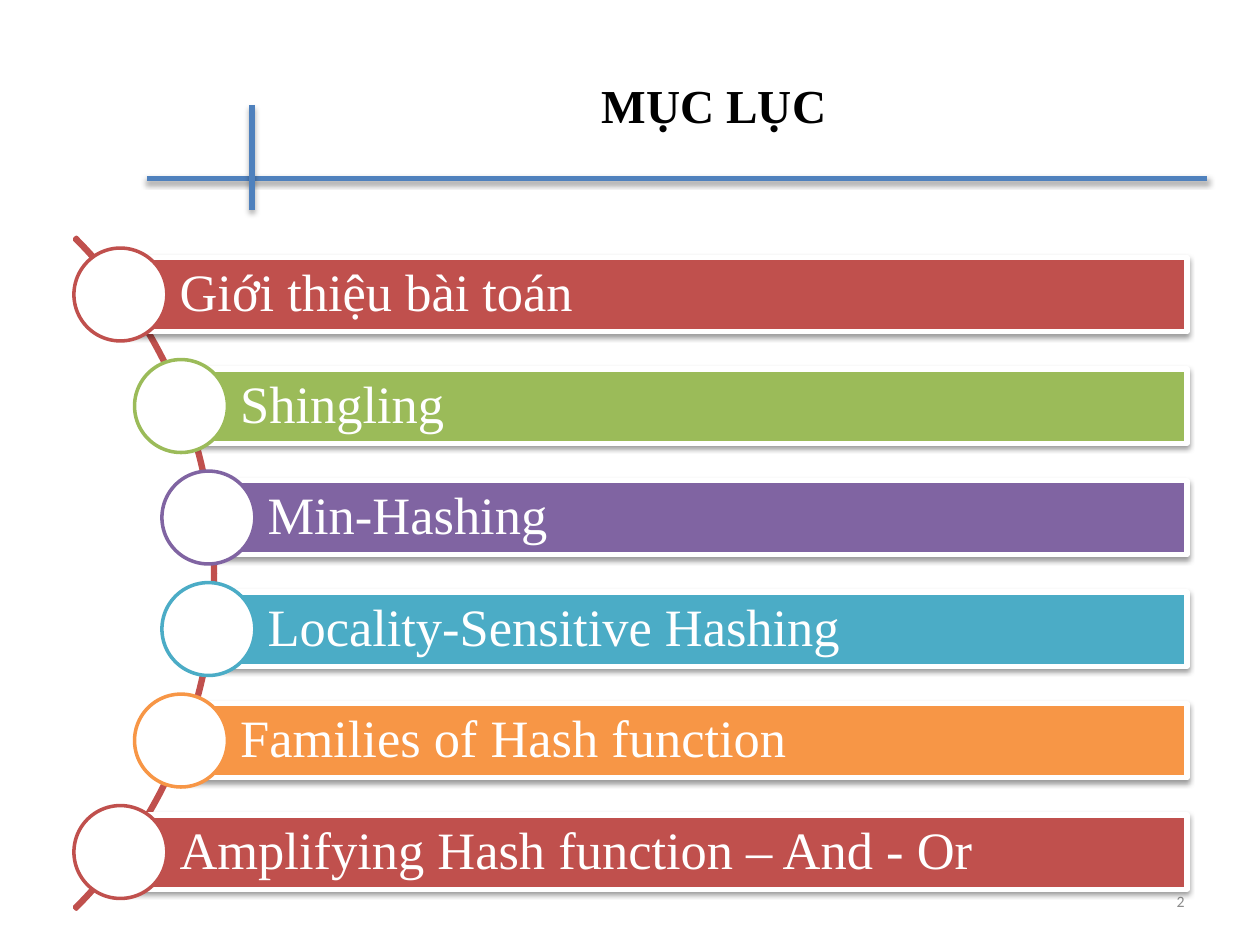
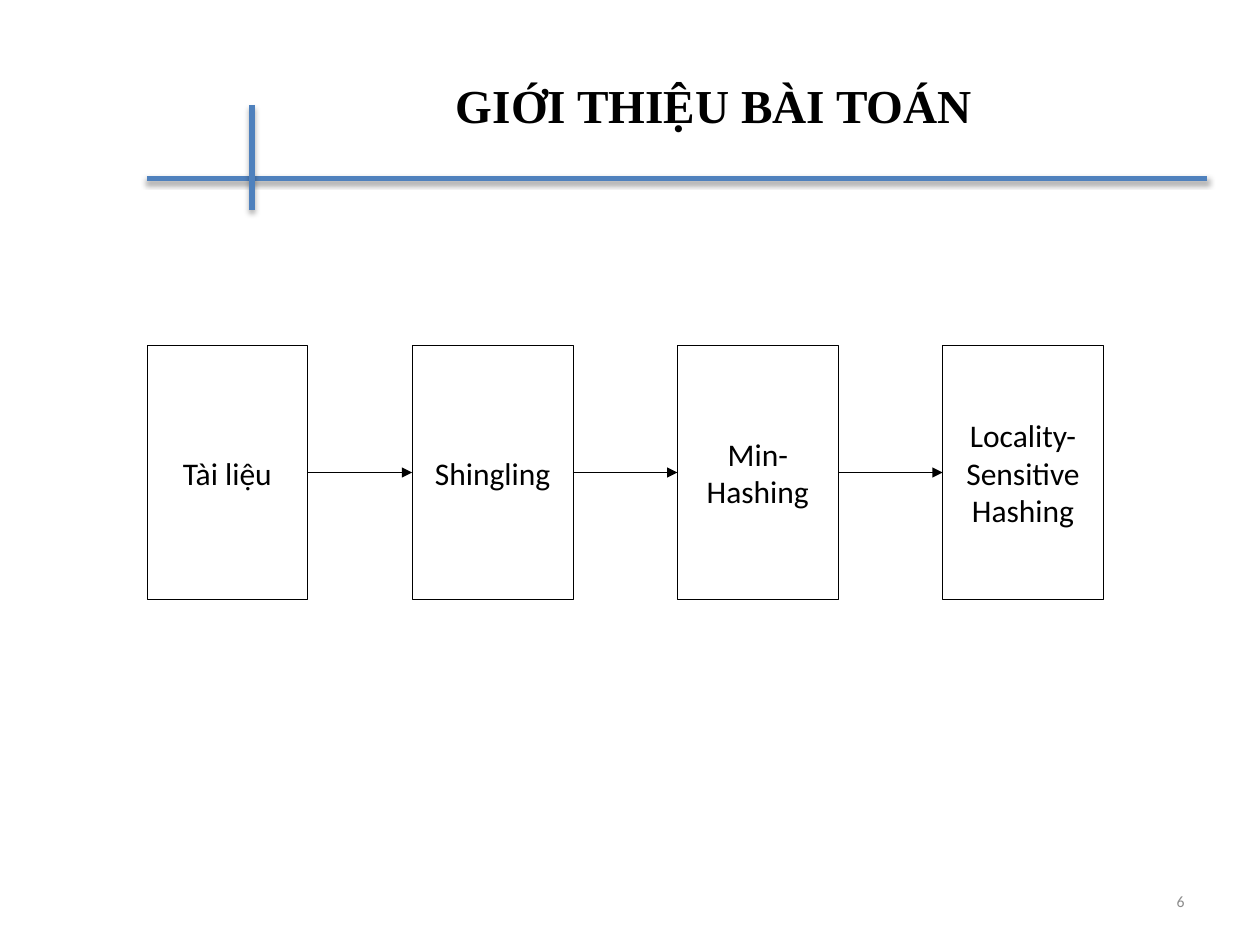
from math import sqrt

from lxml.etree import SubElement
from pptx import Presentation
from pptx.dml.color import RGBColor
from pptx.enum.shapes import MSO_CONNECTOR, MSO_SHAPE
from pptx.enum.text import MSO_ANCHOR, PP_ALIGN
from pptx.oxml.ns import qn
from pptx.util import Inches, Pt

COLUMNS, ROWS = 120, 90
COLOURS = {
    "white": "FFFFFF", "black": "000000", "grey": "8C8C8C", "blue": "4F81BD",
    "red": "C0504D", "green": "9BBB59", "purple": "8064A2",
    "teal": "4BACC6", "orange": "F79646",
}
SERIF, SANS = "Times New Roman", "Calibri"

TOPICS = [
    ("Giới thiệu bài toán", "red"),
    ("Shingling", "green"),
    ("Min-Hashing", "purple"),
    ("Locality-Sensitive Hashing", "teal"),
    ("Families of Hash function", "orange"),
    ("Amplifying Hash function – And - Or", "red"),
]
STAGES = ["Tài liệu", "Shingling", "Min-Hashing", "Locality-Sensitive Hashing"]


def rgb(colour):
    return RGBColor.from_string(COLOURS[colour])


def write(frame, text, font=SANS, size=18, colour="black", bold=False,
          align=PP_ALIGN.CENTER, spacing=None):
    frame.word_wrap = True
    frame.vertical_anchor = MSO_ANCHOR.MIDDLE
    paragraph = frame.paragraphs[0]
    paragraph.alignment = align
    paragraph.line_spacing = spacing
    run = paragraph.add_run()
    run.text = text
    run.font.name, run.font.size, run.font.bold = font, Pt(size), bold
    run.font.color.rgb = rgb(colour)


def cast_shadow(effects, opacity, distance):
    """Add a soft black shadow that falls straight down."""
    shadow = SubElement(effects, qn("a:outerShdw"), blurRad=str(Pt(3.1)),
                        dist=str(Pt(distance)), dir="5400000", rotWithShape="0")
    black = SubElement(shadow, qn("a:srgbClr"), val=COLOURS["black"])
    SubElement(black, qn("a:alpha"), val=str(opacity * 1000))


class Deck:
    """Holds the presentation and draws on its current slide in grid units."""

    def __init__(self):
        self.presentation = Presentation()
        self.presentation.slide_width = Inches(10)
        self.presentation.slide_height = Inches(7.5)
        self.column = self.presentation.slide_width / COLUMNS
        self.row = self.presentation.slide_height / ROWS

    def place(self, x, y):
        return round(x * self.column), round(y * self.row)

    def start_slide(self, title, number):
        self.slide = self.presentation.slides.add_slide(
            self.presentation.slide_layouts[6])
        self.line(14, 17, 115, 17, "blue", 3, shadow=True)
        self.line(24, 10, 24, 20, "blue", 3, shadow=True)
        self.text(14, 2.5, 108, 15, title, font=SERIF, size=27, bold=True)
        self.text(86, 83.4, 28, 4.8, str(number), size=9, colour="grey",
                  align=PP_ALIGN.RIGHT)

    def text(self, x, y, width, height, text, **style):
        box = self.slide.shapes.add_textbox(
            *self.place(x, y), *self.place(width, height))
        write(box.text_frame, text, **style)

    def shape(self, preset, x, y, width, height, fill, outline, weight,
              shadow=False):
        shape = self.slide.shapes.add_shape(
            preset, *self.place(x, y), *self.place(width, height))
        if fill:
            shape.fill.solid()
            shape.fill.fore_color.rgb = rgb(fill)
        else:
            shape.fill.background()
        shape.line.color.rgb = rgb(outline)
        shape.line.width = Pt(weight)
        shape.shadow.inherit = False
        if shadow:
            cast_shadow(shape._element.spPr.find(qn("a:effectLst")), 38, 1.6)
        return shape

    def line(self, x1, y1, x2, y2, colour, weight, shadow=False, arrow=False):
        line = self.slide.shapes.add_connector(
            MSO_CONNECTOR.STRAIGHT, *self.place(x1, y1), *self.place(x2, y2))
        line.line.color.rgb = rgb(colour)
        line.line.width = Pt(weight)
        if arrow:
            SubElement(line.line._get_or_add_ln(), qn("a:tailEnd"),
                       type="triangle")
        effects = SubElement(line._element.spPr, qn("a:effectLst"))
        if shadow:
            cast_shadow(effects, 35, 1.8)

    def topic_bar(self, centre_x, centre_y, topic, colour):
        """Draw a coloured bar that starts at the centre of a white bubble."""
        right, height, bubble = 113.05, 7.08, 8.85
        bar = self.shape(MSO_SHAPE.RECTANGLE, centre_x, centre_y - height / 2,
                         right - centre_x, height, colour, "white", 3,
                         shadow=True)
        frame = bar.text_frame
        frame.margin_left = Inches(0.47)
        frame.margin_right = frame.margin_top = frame.margin_bottom = Inches(0.08)
        write(frame, topic, font=SERIF, size=30, colour="white",
              align=PP_ALIGN.LEFT, spacing=0.9)
        self.shape(MSO_SHAPE.OVAL, centre_x - bubble / 2, centre_y - bubble / 2,
                   bubble, bubble, "white", colour, 2)


def contents_slide(deck):
    deck.start_slide("MỤC LỤC", 2)
    arc_x, arc_y, arc_radius = -24.72, 54.6, 45.24
    arc = deck.shape(MSO_SHAPE.BLOCK_ARC, arc_x - arc_radius,
                     arc_y - arc_radius, 2 * arc_radius, 2 * arc_radius,
                     None, "red", 2)
    for index, adjustment in enumerate((189, 27, 0.003)):
        arc.adjustments[index] = adjustment

    bubble_radius, pitch = 44.88, 10.62
    for index, (topic, colour) in enumerate(TOPICS):
        rise = (index - (len(TOPICS) - 1) / 2) * pitch
        reach = sqrt(bubble_radius ** 2 - rise ** 2)
        deck.topic_bar(arc_x + reach, arc_y + rise, topic, colour)


def introduction_slide(deck):
    deck.start_slide("GIỚI THIỆU BÀI TOÁN", 6)
    left, top, width, height, pitch = 14, 32.9, 15.3, 24.2, 25.26
    for index, stage in enumerate(STAGES):
        x = left + index * pitch
        box = deck.shape(MSO_SHAPE.RECTANGLE, x, top, width, height,
                         "white", "black", 0.25)
        write(box.text_frame, stage)
        if index:
            middle = top + height / 2
            deck.line(x - pitch + width, middle, x, middle, "black", 0.75,
                      arrow=True)


def main():
    deck = Deck()
    contents_slide(deck)
    introduction_slide(deck)
    deck.presentation.save("out.pptx")


if __name__ == "__main__":
    main()
